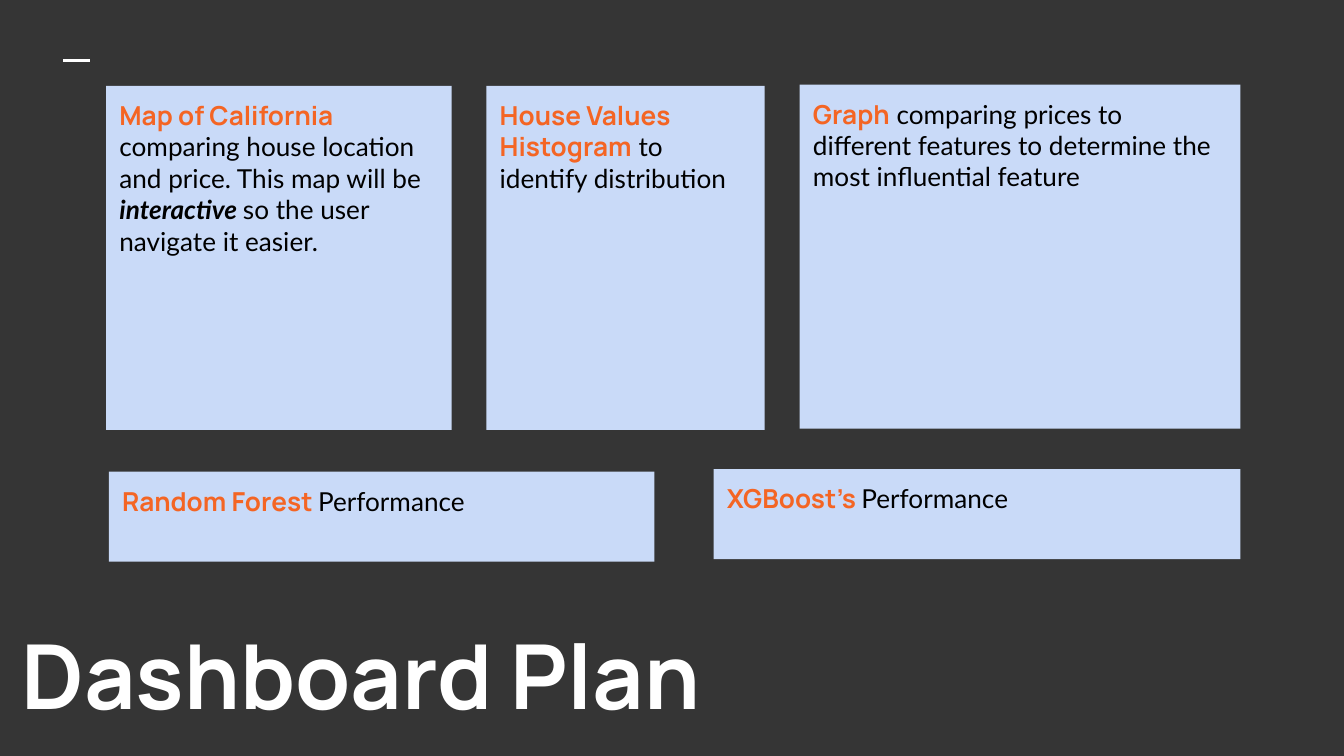
from pptx import Presentation
from pptx.dml.color import RGBColor
from pptx.enum.shapes import MSO_CONNECTOR, MSO_SHAPE
from pptx.enum.text import MSO_ANCHOR as ANCHOR, MSO_AUTO_SIZE as FIT, PP_ALIGN as ALIGN
from pptx.oxml.ns import qn
from pptx.util import Inches, Pt
from lxml.etree import SubElement

CHARCOAL = RGBColor(0x35, 0x35, 0x35)
PALE_BLUE = RGBColor(0xC9, 0xDA, 0xF8)
ORANGE = RGBColor(0xF4, 0x65, 0x24)
WHITE = RGBColor(0xFF, 0xFF, 0xFF)
BLACK = RGBColor(0, 0, 0)


def add_run(paragraph, text, font="Lato", size=14, color=BLACK, bold=False, italic=False):
    run = paragraph.add_run()
    run.text = text
    run.font.name = font
    run.font.size = Pt(size)
    run.font.color.rgb = color
    run.font.bold = bold
    run.font.italic = italic


def prepare_frame(frame, anchor):
    frame.word_wrap = True
    frame.auto_size = FIT.NONE
    frame.vertical_anchor = anchor
    frame.margin_left = frame.margin_right = Inches(0.1)
    frame.margin_top = frame.margin_bottom = Inches(0.1)


# Widescreen 16:9 slide
prs = Presentation()
prs.slide_width = Inches(10)
prs.slide_height = Inches(10 * 9 / 16)
slide = prs.slides.add_slide(prs.slide_layouts[5])
slide.background.fill.solid()
slide.background.fill.fore_color.rgb = CHARCOAL

# Accent dash
dash = slide.shapes.add_connector(
    MSO_CONNECTOR.STRAIGHT, Inches(0.47), Inches(0.45), Inches(0.67), Inches(0.45))
dash.line.color.rgb = WHITE
dash.line.width = Pt(1.5)
SubElement(dash._element.spPr, qn("a:effectLst"))

# Title
title = slide.shapes.title
title.left, title.top = Inches(0.06), Inches(4.47)
title.width, title.height = Inches(8.83), Inches(1.08)
prepare_frame(title.text_frame, ANCHOR.MIDDLE)
heading = title.text_frame.paragraphs[0]
heading.alignment = ALIGN.LEFT
add_run(heading, "Dashboard Plan", font="Manrope", size=48, color=WHITE, bold=True)

# Dashboard panels: position and size, then paragraphs of styled text
KEY = dict(font="Manrope", color=ORANGE, bold=True)
STRONG = dict(bold=True, italic=True)
BODY = {}
panels = [
    ((0.79, 0.64, 2.57, 2.56), [[
        ("Map of California ", KEY),
        ("comparing house location and price. This map will be ", BODY),
        ("interactive ", STRONG),
        ("so the user navigate it easier.", BODY)]]),
    ((3.62, 0.64, 2.07, 2.56), [
        [("House Values", KEY)],
        [("Histogram", KEY), (" to identify distribution", BODY)]]),
    ((5.95, 0.63, 3.28, 2.56), [[
        ("Graph", KEY),
        (" comparing prices to different features to determine the most influential feature",
         BODY)]]),
    ((0.81, 3.51, 4.06, 0.67), [[("Random Forest ", KEY), ("Performance", BODY)]]),
    ((5.31, 3.49, 3.92, 0.67), [[("XGBoost’s ", KEY), ("Performance", BODY)]]),
]

for bounds, paragraphs in panels:
    panel = slide.shapes.add_shape(MSO_SHAPE.RECTANGLE, *[Inches(v) for v in bounds])
    panel.shadow.inherit = False
    panel.fill.solid()
    panel.fill.fore_color.rgb = PALE_BLUE
    panel.line.fill.background()
    frame = panel.text_frame
    prepare_frame(frame, ANCHOR.TOP)
    for index, runs in enumerate(paragraphs):
        paragraph = frame.add_paragraph() if index else frame.paragraphs[0]
        paragraph.alignment = ALIGN.LEFT
        for text, style in runs:
            add_run(paragraph, text, **style)

prs.save("out.pptx")
